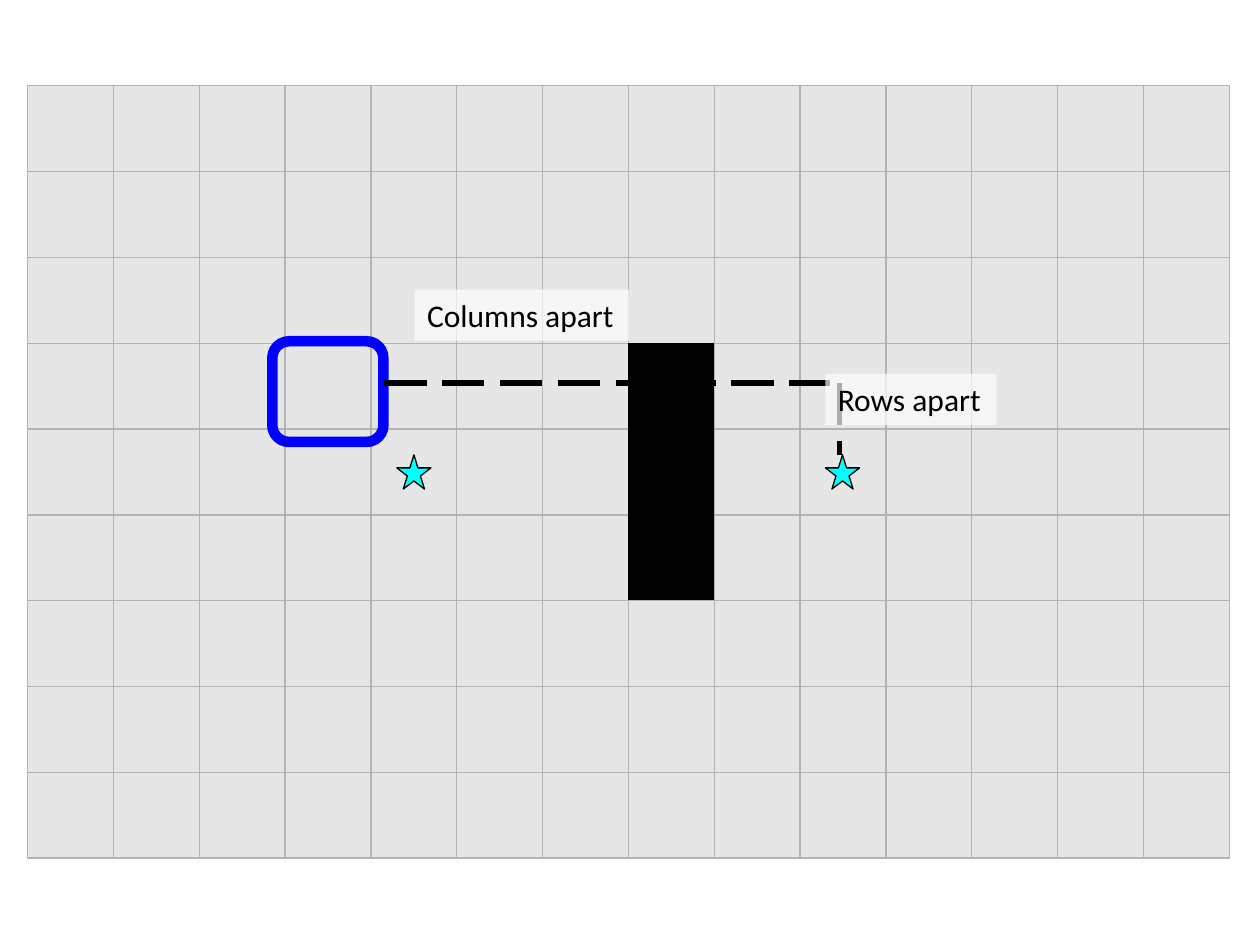
from lxml import etree
from pptx import Presentation
from pptx import util as u
from pptx.dml.color import RGBColor
from pptx.enum import dml, shapes, text
from pptx.oxml.ns import qn

CELL = 1.73
GRID_LEFT, GRID_TOP = 0.56, 1.73
ROWS, COLS = 9, 14
WALL_COL, WALL_ROWS = 7, range(3, 6)
SHAPE = shapes.MSO_SHAPE


def rgb(value):
    return RGBColor.from_string(value)


class Board:
    """Style and current slide of the grid diagram."""
    font, size, ink = "Calibri", 18, "000000"
    thin, dashed, frame = 0.75, 3, 6

    def __init__(self, slide):
        self.s = slide

    def shape(self, kind, x, y, w, h, fill=None, line=None, width=thin):
        sp = self.s.shapes.add_shape(kind, u.Cm(x), u.Cm(y), u.Cm(w), u.Cm(h))
        sp.shadow.inherit = False
        if fill:
            sp.fill.solid()
            sp.fill.fore_color.rgb = rgb(fill)
        else:
            sp.fill.background()
        if line:
            sp.line.color.rgb = rgb(line)
            sp.line.width = u.Pt(width)
        else:
            sp.line.fill.background()
        return sp

    def cell(self, row, col):
        wall = col == WALL_COL and row in WALL_ROWS
        fill, line = (self.ink, self.ink) if wall else ("E6E6E6", "B3B3B3")
        return self.shape(SHAPE.RECTANGLE, GRID_LEFT + col * CELL,
                          GRID_TOP + row * CELL, CELL, CELL, fill, line)

    def star(self, x, y):
        return self.shape(SHAPE.STAR_5_POINT, x, y, 0.69, 0.69, "00FFFF", self.ink)

    def marker(self, x, y, w, h):
        return self.shape(SHAPE.ROUNDED_RECTANGLE, x, y, w, h,
                          line="0000FF", width=self.frame)

    def dash(self, x1, y1, x2, y2):
        c = self.s.shapes.add_connector(shapes.MSO_CONNECTOR.STRAIGHT,
                                        u.Cm(x1), u.Cm(y1), u.Cm(x2), u.Cm(y2))
        c.line.color.rgb = rgb(self.ink)
        c.line.width = u.Pt(self.dashed)
        c.line.dash_style = dml.MSO_LINE.LONG_DASH
        etree.SubElement(c._element.spPr, qn("a:effectLst"))
        return c

    def label(self, words, x, y, w, h, opacity=68):
        sp = self.shape(SHAPE.RECTANGLE, x, y, w, h, "FFFFFF")
        color = sp._element.spPr.find(qn("a:solidFill"))[0]
        etree.SubElement(color, qn("a:alpha"), val=str(opacity * 1000))
        tf = sp.text_frame
        tf.word_wrap = False
        tf.auto_size = text.MSO_AUTO_SIZE.SHAPE_TO_FIT_TEXT
        tf.vertical_anchor = text.MSO_ANCHOR.TOP
        p = tf.paragraphs[0]
        p.alignment = text.PP_ALIGN.LEFT
        r = p.add_run()
        r.text = words
        r.font.name, r.font.size = self.font, u.Pt(self.size)
        r.font.color.rgb = rgb(self.ink)
        return sp


def main():
    prs = Presentation()
    prs.slide_width, prs.slide_height = u.Cm(25.4), u.Cm(19.05)
    board = Board(prs.slides.add_slide(prs.slide_layouts[6]))

    # Grid with the wall
    for row in range(ROWS):
        for col in range(COLS):
            board.cell(row, col)

    # Stars and the selected cell
    for x in (16.64, 8):
        board.star(x, 9.17)
    board.marker(5.49, 6.88, 2.24, 2.03)

    # Distances and their labels
    board.dash(7.75, 7.72, 16.74, 7.72)
    board.dash(16.92, 7.72, 16.92, 9.17)
    board.label("Rows apart", 16.64, 7.54, 3.45, 1.03)
    board.label("Columns apart", 8.36, 5.84, 4.32, 1.03)

    prs.save("out.pptx")


if __name__ == "__main__":
    main()
